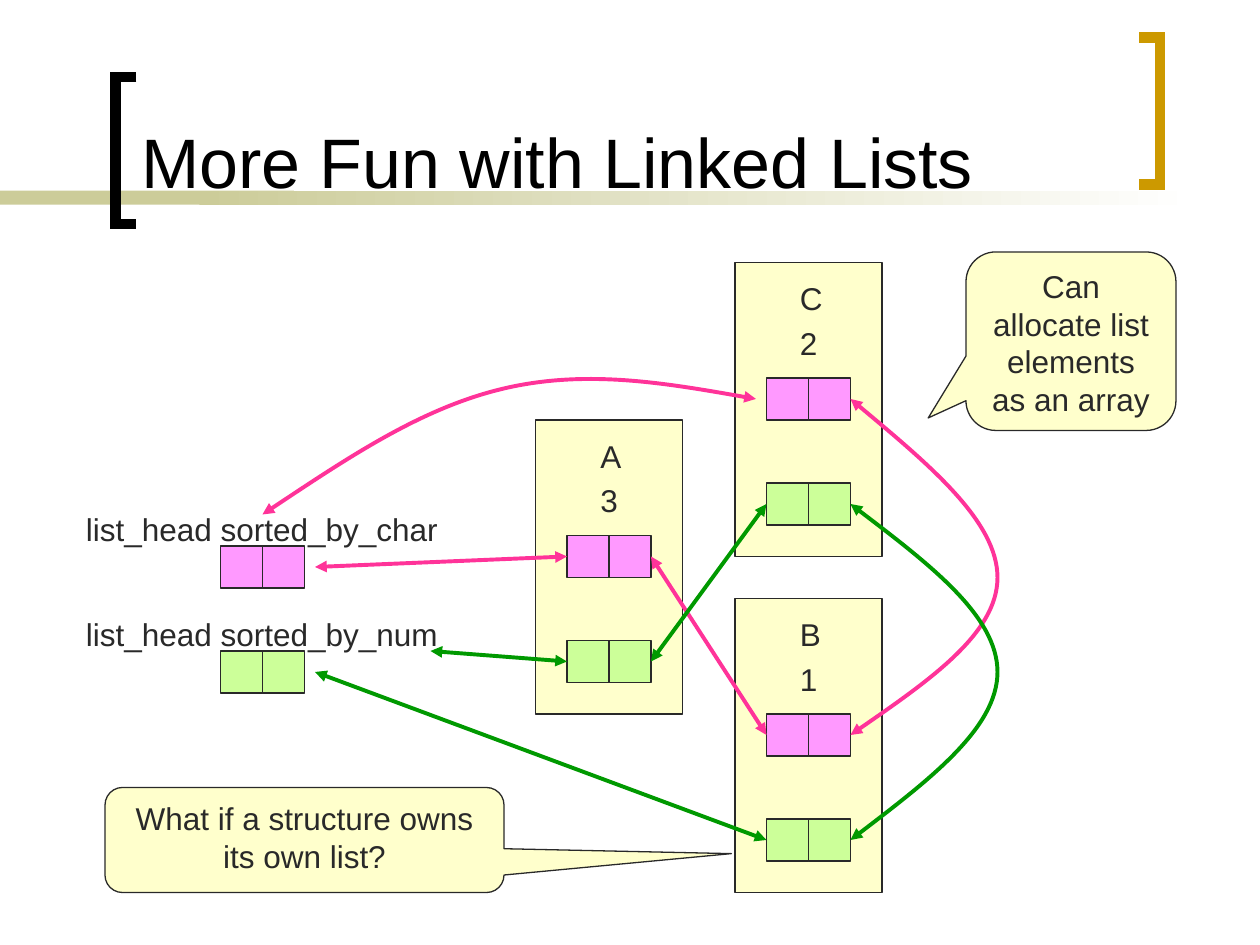
"""Build a slide on structures that sit in two linked lists at once."""
from lxml.etree import SubElement
from pptx import Presentation
from pptx.dml.color import RGBColor
from pptx.enum.shapes import MSO_CONNECTOR, MSO_SHAPE
from pptx.enum.text import MSO_ANCHOR, MSO_AUTO_SIZE, PP_ALIGN
from pptx.oxml.ns import qn
from pptx.util import Pt

COLORS = {
    "ink": "292929", "black": "000000", "white": "FFFFFF",
    "bar": "CCCC99", "gold": "CC9900", "cream": "FFFFCC",
    "pink": "FF99FF", "lime": "CCFF99", "magenta": "FF3399", "green": "009900",
}
RGB = {name: RGBColor.from_string(value) for name, value in COLORS.items()}

prs = Presentation()
prs.slide_width, prs.slide_height = Pt(720), Pt(540)
s = prs.slides.add_slide(prs.slide_layouts[5])


def add_box(x, y, w, h, fill, kind=MSO_SHAPE.RECTANGLE):
    sp = s.shapes.add_shape(kind, Pt(x), Pt(y), Pt(w), Pt(h))
    sp.shadow.inherit = False
    sp.fill.solid()
    sp.fill.fore_color.rgb = RGB[fill]
    sp.line.color.rgb = RGB["ink"]
    sp.line.width = Pt(0.75)
    return sp


def write(sp, text, size=18, color="ink", align=PP_ALIGN.LEFT, anchor=MSO_ANCHOR.TOP):
    tf = sp.text_frame
    tf.text = text
    tf.vertical_anchor = anchor
    tf.auto_size = MSO_AUTO_SIZE.NONE
    p = tf.paragraphs[0]
    p.alignment = align
    p.font.name, p.font.size = "Arial", Pt(size)
    p.font.color.rgb = RGB[color]


bar = add_box(0, 109, 168, 8, "bar")
fade = add_box(114, 109, 570, 8, "bar")
fade.fill.gradient()
fade.fill.gradient_angle = 0
for stop, name in zip(fade.fill.gradient_stops, ("bar", "white")):
    stop.color.rgb = RGB[name]
for sp in (bar, fade):
    sp.line.fill.background()

for open_x, spine_x, top, color in ((78, 66, 44, "black"), (651, 663, 21.5, "gold")):
    bottom = top + 84
    builder = s.shapes.build_freeform(Pt(open_x), Pt(top))
    builder.add_line_segments(
        [(Pt(x), Pt(y)) for x, y in ((spine_x, top), (spine_x, bottom), (open_x, bottom))],
        close=False)
    bracket = builder.convert_to_shape()
    bracket.shadow.inherit = False
    bracket.fill.background()
    bracket.line.color.rgb = RGB[color]
    bracket.line.width = Pt(6)
    SubElement(bracket.line._get_or_add_ln(), qn("a:miter"), lim="800000")

title = s.shapes.title
s.shapes._spTree.append(title._element)
title.left, title.top, title.width, title.height = Pt(73.5), Pt(8), Pt(564), Pt(111.5)
write(title, "More Fun with Linked Lists", 40, "black", anchor=MSO_ANCHOR.BOTTOM)

CELL = 24
labels = [(42, 288, "list_head sorted_by_char"), (42, 348, "list_head sorted_by_num")]
pairs = [(126, 312, "pink"), (126, 372, "lime")]
for x, y, char, num in ((306, 240, "A", "3"), (420, 342, "B", "1"), (420, 150, "C", "2")):
    add_box(x, y, 84, 168, "cream")
    pairs += [(x + 18, y + 66, "pink"), (x + 18, y + 126, "lime")]
    labels += [(x + 30, y + 6, char), (x + 30, y + 31.5, num)]

for x, y, fill in pairs:
    for column in range(2):
        add_box(x + column * CELL, y, CELL, CELL, fill)

for x, y, text in labels:
    width = 215 if len(text) > 1 else 26
    label = s.shapes.add_textbox(Pt(x), Pt(y), Pt(width), Pt(29))
    write(label, text)
    label.text_frame.word_wrap = False

links = [
    ("magenta", [(180, 324), (324, 318)]),
    ("magenta", [(372, 318), (438, 420)]),
    ("magenta", [(486, 420), (528, 391), (570, 362), (570, 330),
                 (570, 298), (528, 263), (486, 228)]),
    ("magenta", [(432, 228), (384, 219.5), (335, 211), (288, 222),
                 (241, 233), (196, 263.5), (150, 294)]),
    ("green", [(180, 384), (438, 480)]),
    ("green", [(486, 480), (528, 448), (570, 416), (570, 384),
               (570, 352), (528, 320), (486, 288)]),
    ("green", [(438, 288), (372, 378)]),
    ("green", [(324, 378), (246, 372)]),
]
for color, points in links:
    points = [(Pt(x), Pt(y)) for x, y in points]
    if len(points) == 2:
        link = s.shapes.add_connector(MSO_CONNECTOR.STRAIGHT, *points[0], *points[1])
    else:
        builder = s.shapes.build_freeform(*points[0])
        builder.add_line_segments(points[1:], close=False)
        link = builder.convert_to_shape()
        link.fill.background()
        outline = link._element.spPr.find(".//" + qn("a:path"))
        segments = outline.findall(qn("a:lnTo"))
        for i in range(0, len(segments), 3):
            curve = SubElement(outline, qn("a:cubicBezTo"))
            for segment in segments[i:i + 3]:
                curve.append(segment[0])
                outline.remove(segment)
    link.line.color.rgb = RGB[color]
    link.line.width = Pt(2.25)
    for end in ("a:headEnd", "a:tailEnd"):
        SubElement(link.line._get_or_add_ln(), qn(end), type="triangle")
    SubElement(link._element.spPr, qn("a:effectLst"))

for x, y, w, h, tip_x, tip_y, text in (
    (552, 144, 120, 102, -0.68, 0.43, "Can allocate list elements as an array"),
    (60, 450, 228, 60, 1.07, 0.13, "What if a structure owns its own list?"),
):
    callout = add_box(x, y, w, h, "cream", MSO_SHAPE.ROUNDED_RECTANGULAR_CALLOUT)
    callout.adjustments[0], callout.adjustments[1] = tip_x, tip_y
    write(callout, text, align=PP_ALIGN.CENTER)

prs.save("out.pptx")
